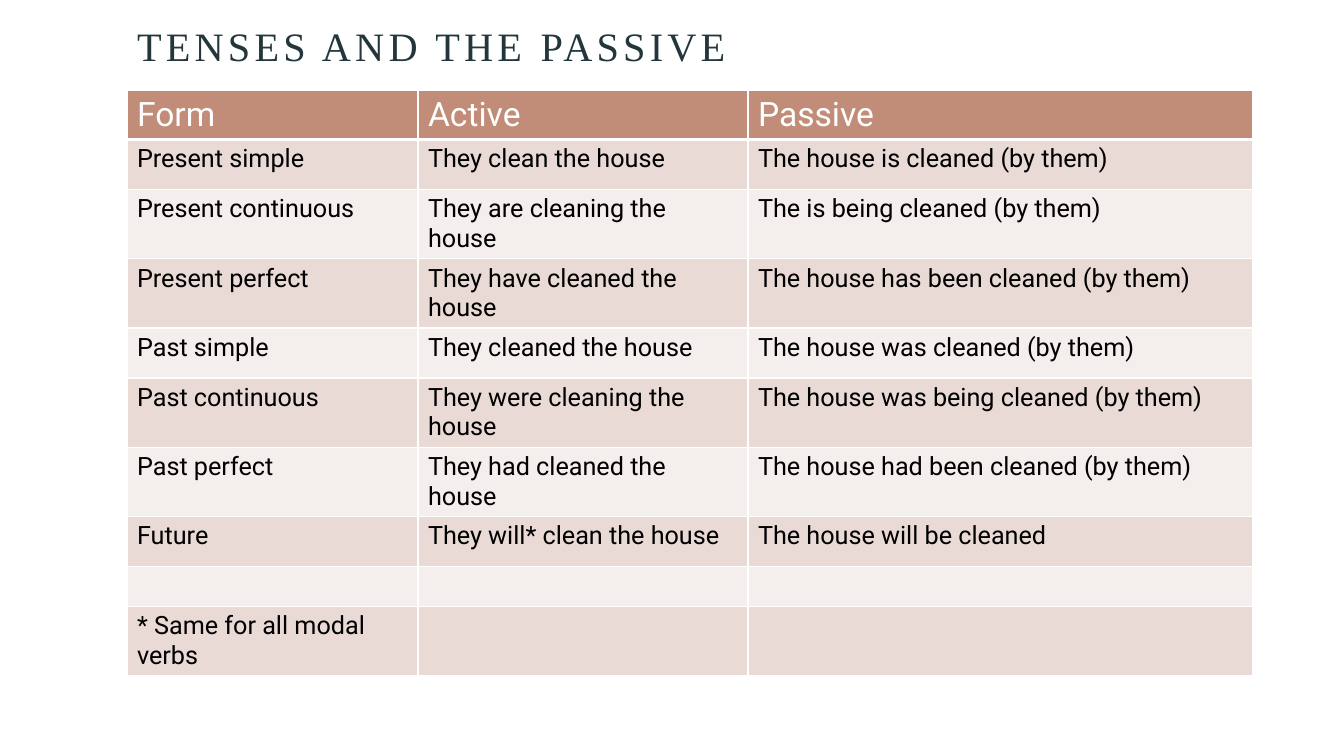
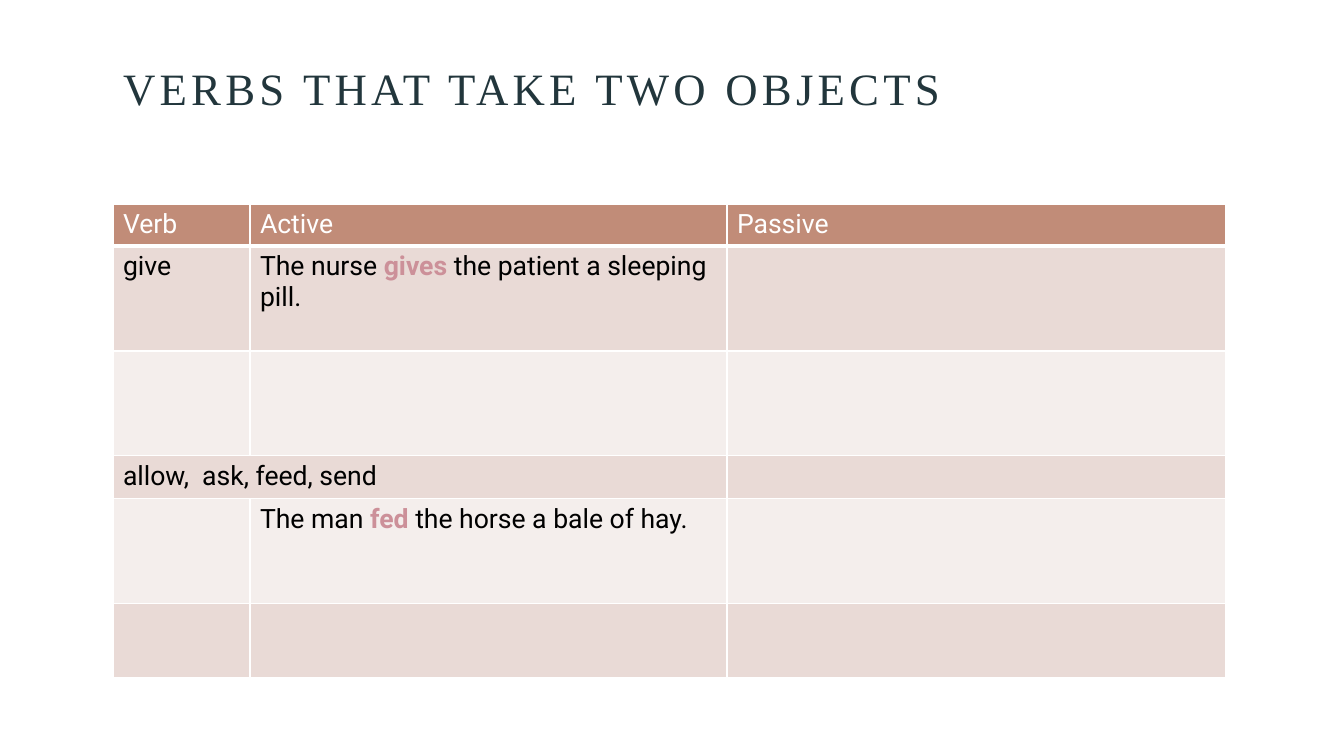
from dataclasses import dataclass
from typing import NamedTuple

import pptx
import pptx.dml.color
import pptx.enum.text
import pptx.oxml
import pptx.oxml.ns
import pptx.util

# Shared look; lengths are px
PX = 12192000 / 1344
TITLE_FONT, TABLE_FONT = "Times New Roman", "Roboto"
TITLE_INK, TEXT_INK, VERB_INK = "22363C", "000000", "CC9099"
WHITE, HEADER_FILL = "FFFFFF", "C18C78"
BAND_FILLS = ("E9DAD6", "F4EEEC")
TITLE_ONLY_LAYOUT = 5


class Box(NamedTuple):
    left: int
    top: int
    width: int
    height: int


class Sentence(NamedTuple):
    subject: str
    verb: str
    rest: str


@dataclass(frozen=True)
class Grid:
    left: int
    top: int
    columns: tuple[int, ...]
    heights: tuple[int, ...]
    header_size: int
    body_size: int
    rows: tuple[tuple[str | Sentence, ...], ...]
    wide_rows: tuple[int, ...] = ()  # rows whose first two cells are joined


@dataclass(frozen=True)
class Lesson:
    title: str
    title_box: Box
    title_size: float
    grid: Grid


LESSONS = (
    Lesson(
        "TENSES AND THE PASSIVE", Box(127, 30, 832, 45), 28.8,
        Grid(
            127, 90, (291, 330, 505), (49, 50, 69, 69, 50, 69, 69, 50, 40, 69), 24, 18,
            (
                ("Form", "Active", "Passive"),
                ("Present simple", "They clean the house", "The house is cleaned (by them)"),
                ("Present continuous", "They are cleaning the house", "The is being cleaned (by them)"),
                ("Present perfect", "They have cleaned the house", "The house has been cleaned (by them)"),
                ("Past simple", "They cleaned the house", "The house was cleaned (by them)"),
                ("Past continuous", "They were cleaning the house", "The house was being cleaned (by them)"),
                ("Past perfect", "They had cleaned the house", "The house had been cleaned (by them)"),
                ("Future", "They will* clean the house", "The house will be cleaned"),
                (),
                ("* Same for all modal verbs",),
            ),
        ),
    ),
    Lesson(
        "VERBS THAT TAKE TWO OBJECTS", Box(113, 31, 978, 89), 32,
        Grid(
            113, 204, (137, 477, 499), (42, 105, 105, 43, 105, 74), 19, 19,
            (
                ("Verb", "Active", "Passive"),
                ("give", Sentence("The nurse ", "gives", " the patient a sleeping pill.")),
                (),
                ("allow,  ask, feed, send",),
                ("", Sentence("The man ", "fed ", "the horse a bale of hay.")),
                (),
            ),
            wide_rows=(3,),
        ),
    ),
)


def px(length: int) -> int:
    return round(length * PX)


def color(value: str) -> pptx.dml.color.RGBColor:
    return pptx.dml.color.RGBColor.from_string(value)


def set_font(paragraph, name: str, size: float, ink: str) -> None:
    font = paragraph.font
    font.name, font.size, font.bold = name, pptx.util.Pt(size), False
    font.color.rgb = color(ink)


def add_title(slide, lesson: Lesson) -> None:
    title = slide.shapes.title
    title.left, title.top, title.width, title.height = map(px, lesson.title_box)
    frame = title.text_frame
    frame.text = lesson.title
    frame.auto_size = pptx.enum.text.MSO_AUTO_SIZE.NONE
    frame.vertical_anchor = pptx.enum.text.MSO_ANCHOR.BOTTOM
    heading = frame.paragraphs[0]
    heading.alignment = pptx.enum.text.PP_ALIGN.LEFT
    heading.line_spacing = 0.9
    set_font(heading, TITLE_FONT, lesson.title_size, TITLE_INK)
    # Letter spacing in hundredths of a point
    heading._p.get_or_add_pPr().get_or_add_defRPr().set("spc", "300")


def add_borders(cell, bottom: int) -> None:
    properties = cell._tc.get_or_add_tcPr()
    for side, points in (("L", 1), ("R", 1), ("T", 1), ("B", bottom)):
        properties.append(pptx.oxml.parse_xml(
            f'<a:ln{side} {pptx.oxml.ns.nsdecls("a")} w="{pptx.util.Pt(points)}">'
            f'<a:solidFill><a:srgbClr val="{WHITE}"/></a:solidFill></a:ln{side}>'
        ))


def write_cell(cell, content: str | Sentence, size: int, ink: str) -> None:
    paragraph = cell.text_frame.paragraphs[0]
    set_font(paragraph, TABLE_FONT, size, ink)
    if isinstance(content, Sentence):
        for part in content:
            paragraph.add_run().text = part
        verb = paragraph.runs[1].font
        verb.bold = True
        verb.color.rgb = color(VERB_INK)
    elif content:
        paragraph.add_run().text = content


def add_grid(slide, grid: Grid) -> None:
    table = slide.shapes.add_table(
        len(grid.heights), len(grid.columns), px(grid.left), px(grid.top),
        px(sum(grid.columns)), px(sum(grid.heights)),
    ).table
    for column, width in zip(table.columns, grid.columns):
        column.width = px(width)
    for index, (row, height, contents) in enumerate(zip(table.rows, grid.heights, grid.rows)):
        row.height = px(height)
        header = index == 0
        fill = HEADER_FILL if header else BAND_FILLS[(index - 1) % 2]
        size = grid.header_size if header else grid.body_size
        for place, cell in enumerate(row.cells):
            add_borders(cell, bottom=3 if header else 1)
            cell.fill.solid()
            cell.fill.fore_color.rgb = color(fill)
            content = contents[place] if place < len(contents) else ""
            write_cell(cell, content, size, WHITE if header else TEXT_INK)
    for index in grid.wide_rows:
        table.cell(index, 0).merge(table.cell(index, 1))


def main() -> None:
    deck = pptx.Presentation()
    deck.slide_width, deck.slide_height = px(1344), px(756)
    for lesson in LESSONS:
        slide = deck.slides.add_slide(deck.slide_layouts[TITLE_ONLY_LAYOUT])
        add_title(slide, lesson)
        add_grid(slide, lesson.grid)
    deck.save("out.pptx")


if __name__ == "__main__":
    main()
